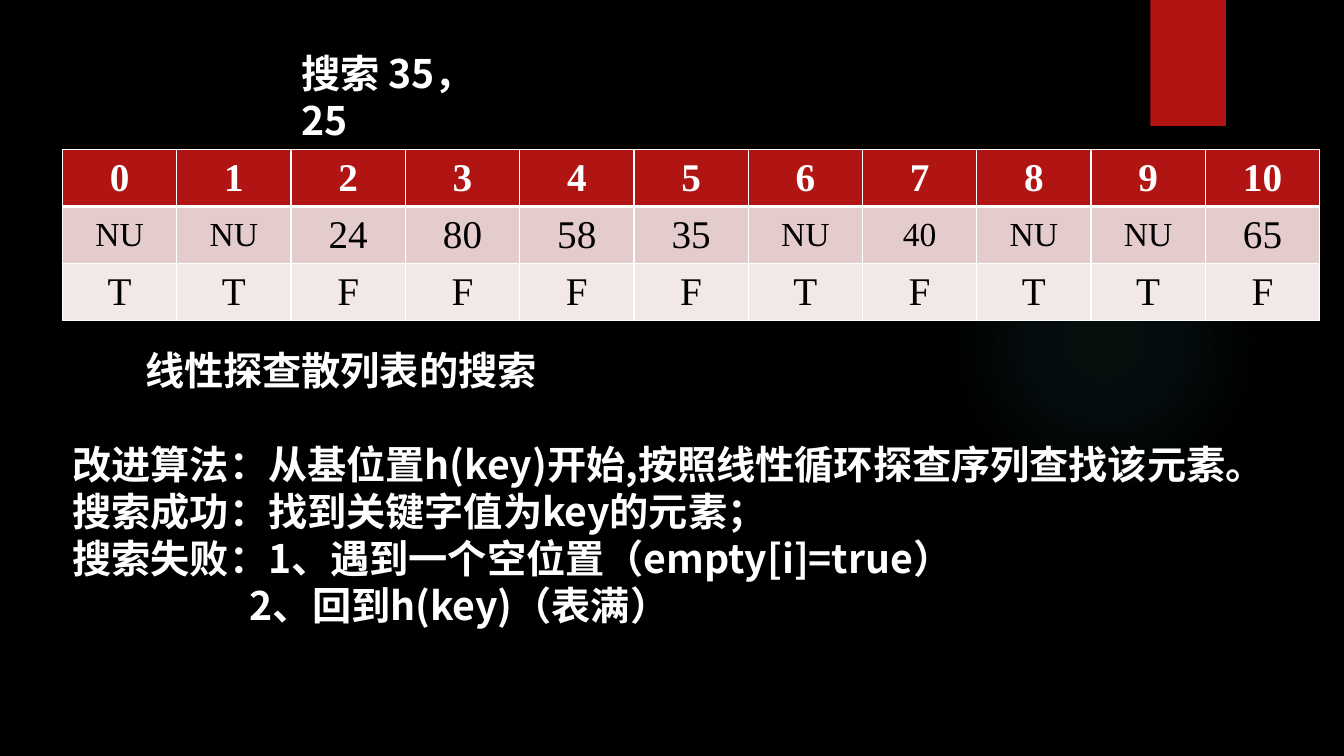
from lxml import etree
from pptx import Presentation
from pptx import util as u
from pptx.dml.color import RGBColor
from pptx.enum import shapes, text
from pptx.oxml import parse_xml
from pptx.oxml.ns import nsdecls, qn

COLORS = {
    "background": "000000", "white": "FFFFFF", "black": "000000",
    "accent": "B01513", "glow": "50B9C1",
    "key_row": "E4CCCC", "empty_row": "F2E8E7",
}
SANS, SERIF = "Noto Sans CJK SC", "Times New Roman"
TEXT_SIZE = 28
LINE_PITCH = 33.6

INDEXES = [str(index) for index in range(11)]
KEYS = ["NU", "NU", "24", "80", "58", "35", "NU", "40", "NU", "NU", "65"]
EMPTY_FLAGS = ["T" if key == "NU" else "F" for key in KEYS]
SMALL_KEYS = {"NU", "40"}

# Each line: wording, left indent in inches, space before in points
EXPLANATION = [
    ("线性探查散列表的搜索", 0.72, 0),
    ("改进算法：从基位置h(key)开始,按照线性循环探查序列查找该元素。", 0, LINE_PITCH),
    ("搜索成功：找到关键字值为key的元素；", 0, 0),
    ("搜索失败：1、遇到一个空位置（empty[i]=true）", 0, 0),
    ("2、回到h(key)（表满）", 1.76, 0),
]


def rgb(name):
    return RGBColor.from_string(COLORS[name])


def add_run(paragraph, wording, font_name, size, color, bold):
    run = paragraph.add_run()
    run.text = wording
    font = run.font
    font.name = font_name
    font.size = u.Pt(size)
    font.bold = bold
    font.color.rgb = rgb(color)
    east_asian = etree.SubElement(font._element, qn("a:ea"))
    east_asian.set("typeface", font_name)


def add_plain_shape(slide, kind, left, top, width, height):
    shape = slide.shapes.add_shape(
        kind, u.Inches(left), u.Inches(top), u.Inches(width), u.Inches(height))
    shape.shadow.inherit = False
    shape.line.fill.background()
    return shape


def add_glow(slide):
    """Add the faint circle that fades out towards its rim."""
    circle = add_plain_shape(slide, shapes.MSO_SHAPE.OVAL, 9.41, 1.83, 3.08, 3.08)
    stops = "".join(
        f'<a:gs pos="{position * 1000}"><a:srgbClr val="{COLORS["glow"]}">'
        f'<a:alpha val="{alpha * 1000}"/></a:srgbClr></a:gs>'
        for position, alpha in [(0, 7), (36, 6), (69, 0), (100, 0)])
    gradient = parse_xml(
        f'<a:gradFill {nsdecls("a")}><a:gsLst>{stops}</a:gsLst>'
        '<a:path path="circle"><a:fillToRect l="50000" t="50000" r="50000" b="50000"/>'
        '</a:path></a:gradFill>')
    circle._element.spPr.find(qn("a:prstGeom")).addnext(gradient)


def add_ribbon(slide):
    ribbon = add_plain_shape(slide, shapes.MSO_SHAPE.RECTANGLE, 11.41, 0, 0.75, 1.25)
    ribbon.fill.solid()
    ribbon.fill.fore_color.rgb = rgb("accent")


def add_text(slide, left, top, width, height, lines):
    box = slide.shapes.add_textbox(
        u.Inches(left), u.Inches(top), u.Inches(width), u.Inches(height))
    frame = box.text_frame
    frame.word_wrap = True
    for number, (wording, indent, space_before) in enumerate(lines):
        paragraph = frame.add_paragraph() if number else frame.paragraphs[0]
        paragraph.line_spacing = u.Pt(LINE_PITCH)
        if space_before:
            paragraph.space_before = u.Pt(space_before)
        if indent:
            properties = paragraph._p.get_or_add_pPr()
            properties.set("marL", str(u.Inches(indent)))
            properties.set("indent", "0")
        add_run(paragraph, wording, SANS, TEXT_SIZE, "white", True)


def set_borders(cell, top, bottom):
    """Draw white borders; top and bottom are widths in points."""
    properties = cell._tc.get_or_add_tcPr()
    for side, width in [("L", 1), ("R", 1), ("T", top), ("B", bottom)]:
        properties.append(parse_xml(
            f'<a:ln{side} {nsdecls("a")} w="{u.Pt(width)}"><a:solidFill>'
            f'<a:srgbClr val="{COLORS["white"]}"/></a:solidFill></a:ln{side}>'))


def add_hash_table(slide):
    rows = [
        (INDEXES, "accent", "white", True, 1, 3),
        (KEYS, "key_row", "black", False, 3, 1),
        (EMPTY_FLAGS, "empty_row", "black", False, 1, 1),
    ]
    width, height = u.Inches(12.47), u.Inches(1.7)
    table = slide.shapes.add_table(
        len(rows), len(INDEXES), u.Inches(0.62), u.Inches(1.48), width, height).table
    for column in table.columns:
        column.width = width // len(INDEXES)
    for row_number, (values, fill, color, bold, top, bottom) in enumerate(rows):
        table.rows[row_number].height = height // len(rows)
        for column_number, value in enumerate(values):
            cell = table.cell(row_number, column_number)
            set_borders(cell, top, bottom)
            cell.fill.solid()
            cell.fill.fore_color.rgb = rgb(fill)
            cell.vertical_anchor = text.MSO_ANCHOR.MIDDLE
            cell.margin_left = cell.margin_right = 0
            paragraph = cell.text_frame.paragraphs[0]
            paragraph.alignment = text.PP_ALIGN.CENTER
            size = 24 if values is KEYS and value in SMALL_KEYS else TEXT_SIZE
            add_run(paragraph, value, SERIF, size, color, bold)


def main():
    presentation = Presentation()
    presentation.slide_width = u.Inches(13.33)
    presentation.slide_height = u.Inches(7.5)
    slide = presentation.slides.add_slide(presentation.slide_layouts[6])
    slide.background.fill.solid()
    slide.background.fill.fore_color.rgb = rgb("background")
    add_glow(slide)
    add_ribbon(slide)
    add_text(slide, 0.62, 3.39, 12.38, 3.4, EXPLANATION)
    add_text(slide, 2.89, 0.44, 2.2, 0.57, [("搜索 35，25", 0, 0)])
    add_hash_table(slide)
    presentation.save("out.pptx")


if __name__ == "__main__":
    main()
